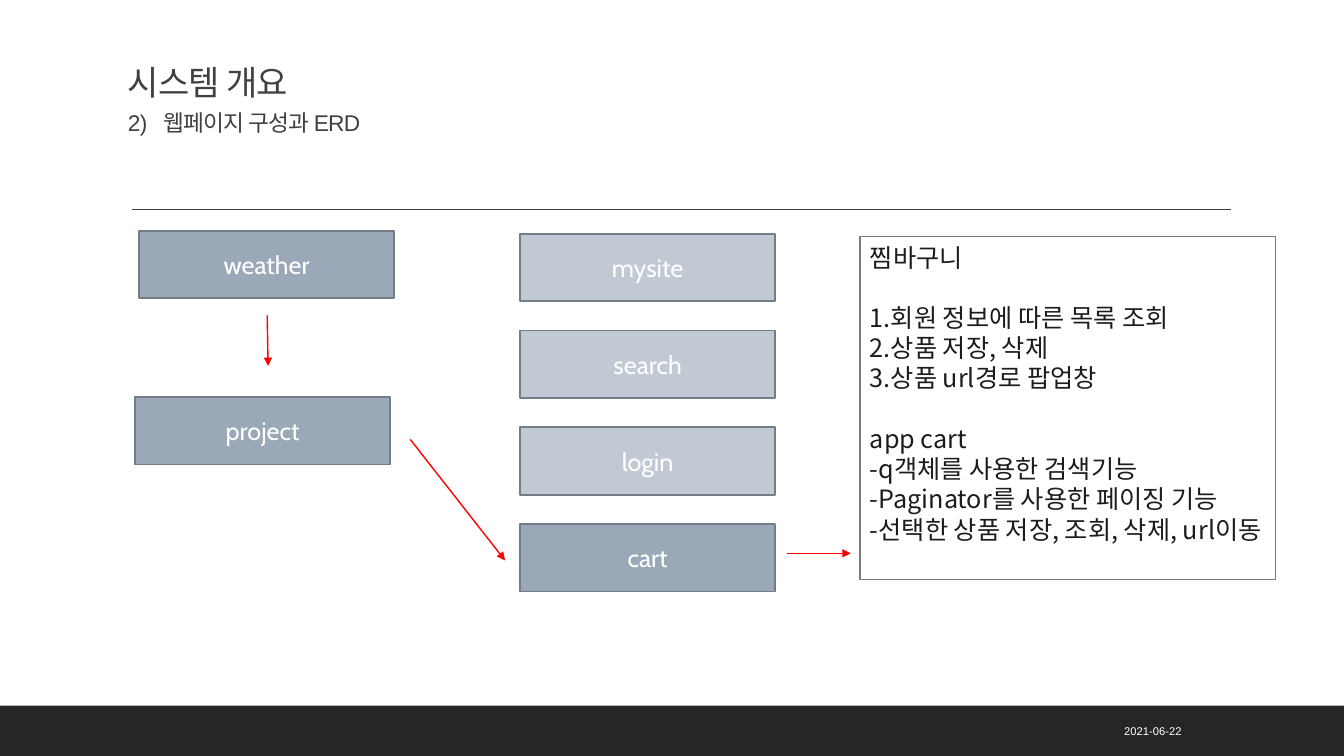
from dataclasses import dataclass

from lxml.etree import SubElement as Sub
from pptx import Presentation
from pptx.dml.color import RGBColor as Rgb
from pptx.enum.shapes import MSO_CONNECTOR as Line, MSO_SHAPE as Form
from pptx.enum.text import MSO_ANCHOR as Anchor, PP_ALIGN as Align
from pptx.oxml.ns import qn
from pptx.util import Inches, Pt


@dataclass(frozen=True)
class Theme:
    dark: str = "262626"
    ink: str = "404040"
    node: str = "9BA8B7"
    edge: str = "737C87"
    arrow: str = "FF0000"
    note: str = "1D1C1D"
    white: str = "FFFFFF"
    sans: str = "Arial"
    label: str = "Cabin"
    body: str = "Noto Sans CJK KR"
    title: float = 24.3
    sub: float = 16.2
    text: float = 18
    date: float = 8
    lead: float = 21.6


@dataclass(frozen=True)
class Box:
    x: float
    y: float
    w: float
    h: float

    def cell(self, x, y, w, h):
        return Box(self.x + x, self.y + y, w, h)

    def spot(self, x, y):
        return across(self.x + x), down(self.y + y)

    def size(self):
        return across(self.x), down(self.y), across(self.w), down(self.h)


T = Theme()
WIDE, HIGH = Inches(13.33), Inches(7.5)


def across(share):
    return round(WIDE * share / 100)


def down(share):
    return round(HIGH * share / 100)


def paint(shape, fill=None, edge=None, width=1, alpha=None):
    shape.shadow.inherit = False
    if fill:
        shape.fill.solid()
        shape.fill.fore_color.rgb = Rgb.from_string(fill)
        if alpha:
            color = shape._element.spPr.find(qn("a:solidFill"))[0]
            Sub(color, qn("a:alpha"), val=str(alpha * 1000))
    else:
        shape.fill.background()
    if edge:
        shape.line.color.rgb = Rgb.from_string(edge)
        shape.line.width = Pt(width)
    else:
        shape.line.fill.background()


def write(shape, lines, face, size, color, align=Align.LEFT, anchor=Anchor.MIDDLE):
    frame = shape.text_frame
    frame.word_wrap = True
    frame.vertical_anchor = anchor
    for i, line in enumerate(lines):
        para = frame.paragraphs[0] if i == 0 else frame.add_paragraph()
        para.text = line
        para.alignment = align
        para.font.name = face
        para.font.size = Pt(size)
        para.font.color.rgb = Rgb.from_string(color)
    return frame.paragraphs


def rect(slide, box):
    return slide.shapes.add_shape(Form.RECTANGLE, *box.size())


def draw(slide, start, end, color, head=False):
    line = slide.shapes.add_connector(Line.STRAIGHT, *start, *end)
    line.line.color.rgb = Rgb.from_string(color)
    line.line.width = Pt(1)
    props = line._element.spPr
    if head:
        Sub(props.find(qn("a:ln")), qn("a:tailEnd"), type="triangle")
    Sub(props, qn("a:effectLst"))


def footer(slide, box):
    paint(rect(slide, box), T.dark)
    date = slide.shapes.add_textbox(*box.cell(67.44, 0.67, 21.23, 5.33).size())
    write(date, ["2021-06-22"], T.sans, T.date, T.white, Align.RIGHT)


def header(slide, box):
    draw(slide, box.spot(1.05, box.h), box.spot(82.8, box.h), T.ink)
    text = slide.shapes.add_textbox(*box.cell(0, 0, box.w, 10.93).size())
    paras = write(text, ["시스템 개요", "2)\t웹페이지 구성과 ERD"],
                  T.sans, T.title, T.ink, anchor=Anchor.BOTTOM)
    for para in paras:
        para.line_spacing = 0.9
        for run in para.runs:
            run._r.get_or_add_rPr().set("spc", "-50")
    sub = paras[1]
    sub.font.size = Pt(T.sub)
    sub.space_before = Pt(6)
    hang = Inches(0.35)
    props = sub._p.get_or_add_pPr()
    props.set("marL", str(hang))
    props.set("indent", str(-hang))


def flow(slide, box):
    nodes = [("weather", 0.3, 0.03, None), ("project", 0, 22.03, None)]
    pages = [("mysite", 61), ("search", 61), ("login", 61), ("cart", None)]
    nodes += [(name, 28.65, 0.43 + 12.8 * i, alpha)
              for i, (name, alpha) in enumerate(pages)]
    for name, x, y, alpha in nodes:
        node = rect(slide, box.cell(x, y, 18.98, 8.93))
        paint(node, T.node, T.edge, 1.25, alpha)
        write(node, [name], T.label, T.text, T.white, Align.CENTER)
    arrows = [((9.83, 11.23), (9.9, 17.9)),
              ((20.48, 27.63), (27.53, 43.63)),
              ((48.54, 42.7), (53.25, 42.7))]
    for start, end in arrows:
        draw(slide, box.spot(*start), box.spot(*end), T.arrow, True)


def panel(slide, box):
    lines = ["찜바구니",
             "1.회원 정보에 따른 목록 조회", "2.상품 저장, 삭제", "3.상품 url경로 팝업창",
             "app cart", "-q객체를 사용한 검색기능", "-Paginator를 사용한 페이징 기능",
             "-선택한 상품 저장, 조회, 삭제, url이동"]
    note = rect(slide, box)
    paint(note, edge=T.edge, width=0.75)
    paras = write(note, lines, T.body, T.text, T.note, anchor=Anchor.TOP)
    for i, para in enumerate(paras):
        para.line_spacing = Pt(T.lead)
        para.space_after = Pt(T.lead if i in (0, 3) else 0)


def main():
    deck = Presentation()
    deck.slide_width, deck.slide_height = WIDE, HIGH
    slide = deck.slides.add_slide(deck.slide_layouts[6])
    footer(slide, Box(0, 93.33, 100, 6.67))
    header(slide, Box(8.78, 7.73, 82.5, 20))
    flow(slide, Box(10.05, 30.5, 54, 48))
    panel(slide, Box(63.99, 31.33, 30.91, 45.33))
    deck.save("out.pptx")


if __name__ == "__main__":
    main()
